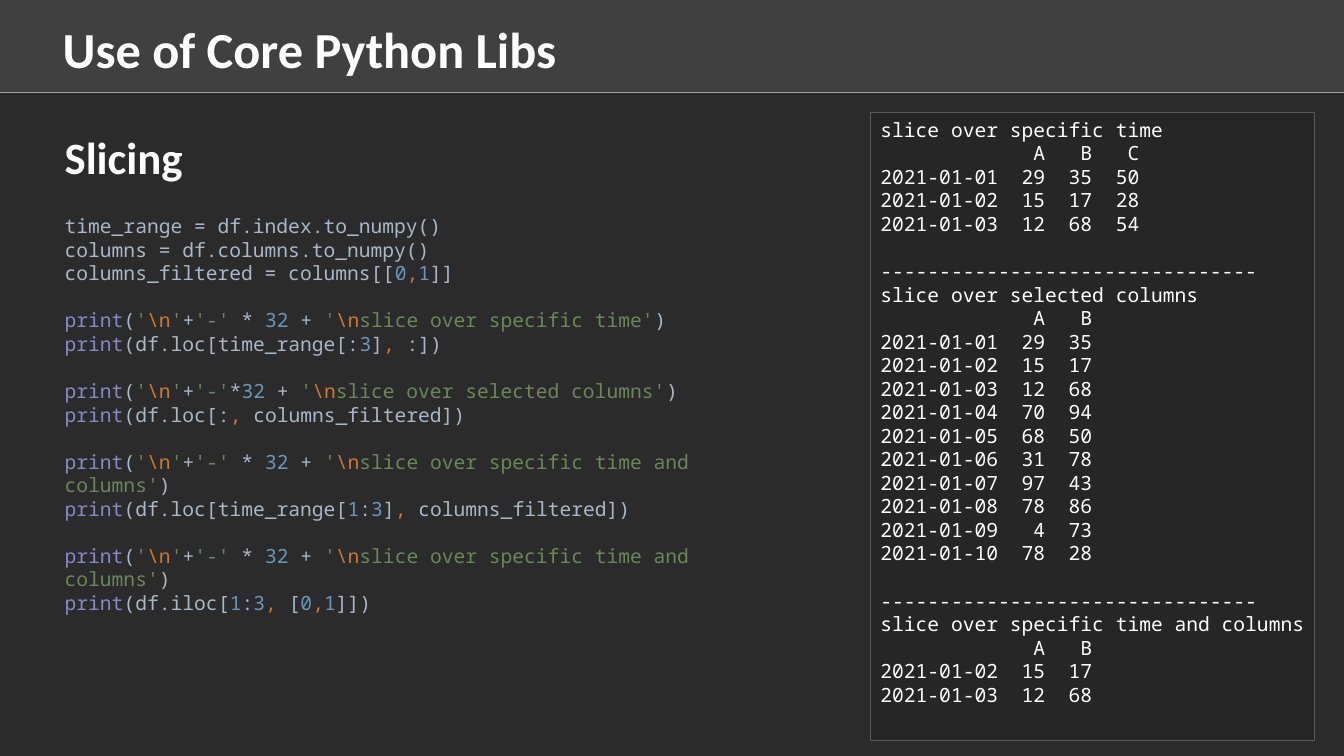
from dataclasses import dataclass
from itertools import groupby

from lxml.etree import SubElement
from pptx import Presentation
from pptx.dml.color import RGBColor
from pptx.enum.shapes import MSO_CONNECTOR, MSO_SHAPE
from pptx.enum.text import MSO_ANCHOR, PP_ALIGN
from pptx.oxml.ns import qn
from pptx.util import Pt


@dataclass(frozen=True)
class Theme:
    head: str = "Calibri"
    mono: str = "Noto Sans Mono"
    title: float = 36
    topic: float = 32
    code: float = 14
    gap: float = 16.8  # one line of code
    white: str = "FFFFFF"
    band: str = "404040"
    body: str = "2B2B2B"
    panel: str = "262626"
    edge: str = "595959"
    rule: str = "A6A6A6"
    plain: str = "A9B7C6"
    call: str = "8888C6"
    text: str = "6A8759"
    mark: str = "CC7832"
    num: str = "6897BB"


THEME = Theme()
WIDE, HIGH, BAND = 960, 540, 66.24

# Each block is set off from the one before by one line of space
CODE = [
    r"""time_range = df.index.to_numpy()
columns = df.columns.to_numpy()
columns_filtered = columns[[0,1]]""",
    r"""print('\n'+'-' * 32 + '\nslice over specific time')
print(df.loc[time_range[:3], :])""",
    r"""print('\n'+'-'*32 + '\nslice over selected columns')
print(df.loc[:, columns_filtered])""",
    r"""print('\n'+'-' * 32 + '\nslice over specific time and columns')
print(df.loc[time_range[1:3], columns_filtered])""",
    r"""print('\n'+'-' * 32 + '\nslice over specific time and columns')
print(df.iloc[1:3, [0,1]])""",
]
DASH = "-" * 32
OUTPUT = [
    """slice over specific time
             A   B   C
2021-01-01  29  35  50
2021-01-02  15  17  28
2021-01-03  12  68  54""",
    f"""{DASH}
slice over selected columns
             A   B
2021-01-01  29  35
2021-01-02  15  17
2021-01-03  12  68
2021-01-04  70  94
2021-01-05  68  50
2021-01-06  31  78
2021-01-07  97  43
2021-01-08  78  86
2021-01-09   4  73
2021-01-10  78  28""",
    f"""{DASH}
slice over specific time and columns
             A   B
2021-01-02  15  17
2021-01-03  12  68""",
]


def style(font, name, size, color, bold=False):
    font.name, font.size, font.bold = name, Pt(size), bold
    font.color.rgb = RGBColor.from_string(color)


def add_rect(slide, box, fill, line=None):
    rect = slide.shapes.add_shape(MSO_SHAPE.RECTANGLE, *map(Pt, box))
    rect.shadow.inherit = False
    rect.fill.solid()
    rect.fill.fore_color.rgb = RGBColor.from_string(fill)
    if line:
        rect.line.color.rgb = RGBColor.from_string(line)
        rect.line.width = Pt(0.75)
    else:
        rect.line.fill.background()
    return rect


def add_head(slide, box, text, size):
    frame = slide.shapes.add_textbox(*map(Pt, box)).text_frame
    frame.word_wrap = True
    frame.text = text
    style(frame.paragraphs[0].runs[0].font, THEME.head, size, THEME.white, True)


def color_code(line):
    """Give the color of each character in a line of Python."""
    quoted, last, hues = False, "", []
    for spot, char in enumerate(line):
        if char == "'":
            quoted = not quoted
            hue = THEME.text
        elif quoted:
            hue = THEME.mark if "\\" in (char, last) else THEME.text
        elif spot < 5 and line.startswith("print"):
            hue = THEME.call
        elif char.isdigit():
            hue = THEME.num
        else:
            hue = THEME.mark if char == "," else THEME.plain
        hues.append(hue)
        last = char
    return hues


def color_white(line):
    return [THEME.white] * len(line)


def fill_code(frame, blocks, paint):
    frame.word_wrap = True
    frame.text = "\n".join(blocks)
    starts = {0}
    for block in blocks:
        starts.add(max(starts) + len(block.split("\n")))
    for row, para in enumerate(frame.paragraphs):
        line = para.text
        para.text = ""
        para.alignment = PP_ALIGN.LEFT
        if row and row in starts:
            para.space_before = Pt(THEME.gap)
        pairs = zip(paint(line), line)
        for hue, group in groupby(pairs, key=lambda pair: pair[0]):
            run = para.add_run()
            run.text = "".join(char for _, char in group)
            style(run.font, THEME.mono, THEME.code, hue)


def add_base(slide, box):
    left, top, width, height = box
    add_rect(slide, (left, top + BAND, width, height - BAND), THEME.body)
    add_rect(slide, (left, top, width, BAND), THEME.band)
    ends = (left, top + BAND, left + width, top + BAND)
    rule = slide.shapes.add_connector(MSO_CONNECTOR.STRAIGHT, *map(Pt, ends))
    rule.line.color.rgb = RGBColor.from_string(THEME.rule)
    rule.line.width = Pt(1)
    SubElement(rule._element.spPr, qn("a:effectLst"))


def add_source(slide, box):
    left, top, width, height = box
    add_head(slide, (left, top, width, 46), "Slicing", THEME.topic)
    rect = add_rect(slide, (left, top + 59.5, 507.6, height - 59.5), THEME.body)
    rect.text_frame.vertical_anchor = MSO_ANCHOR.MIDDLE
    fill_code(rect.text_frame, CODE, color_code)


def add_output(slide, box):
    frame = add_rect(slide, box, THEME.panel, THEME.edge).text_frame
    frame.vertical_anchor = MSO_ANCHOR.TOP
    frame.margin_right = 0
    fill_code(frame, OUTPUT, color_white)


def main():
    deck = Presentation()
    deck.slide_width, deck.slide_height = Pt(WIDE), Pt(HIGH)
    slide = deck.slides.add_slide(deck.slide_layouts[6])
    add_base(slide, (0, 0, WIDE, HIGH))
    add_head(slide, (37.7, 9.4, 856, 51), "Use of Core Python Libs", THEME.title)
    add_output(slide, (621.8, 80.6, 317.3, 448.6))
    add_source(slide, (39.1, 89.3, 560, 353.6))
    deck.save("out.pptx")


if __name__ == "__main__":
    main()
